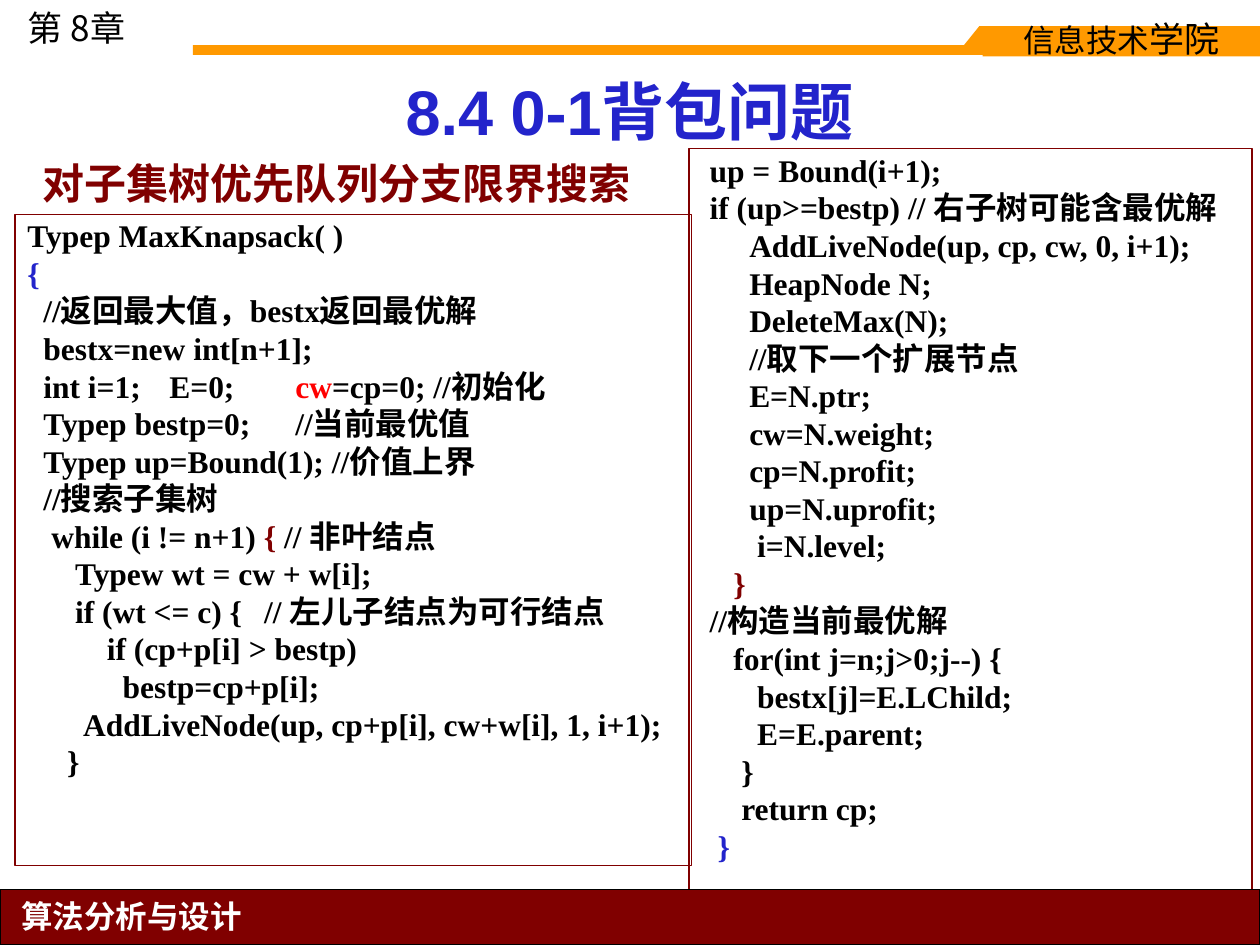
"""Build the slide on the 0-1 knapsack with branch and bound."""
import pptx
import pptx.util
import pptx.dml.color
import pptx.enum.shapes
import pptx.enum.text
import lxml.etree

Cm, Pt = pptx.util.Cm, pptx.util.Pt
Box = pptx.enum.shapes.MSO_SHAPE
Side = pptx.enum.text.PP_ALIGN
Hold = pptx.enum.text.MSO_ANCHOR
NS = "http://schemas.openxmlformats.org/drawingml/2006/main"

THEME = {
    "black": "000000", "white": "FFFFFF", "gold": "FF9900",
    "wine": "800000", "blue": "2324CB", "red": "FF0000",
    "head": "Arial", "code": "Times New Roman",
    "han": "Noto Sans CJK SC", "plain": "DejaVu Sans",
    "title": 36, "sub": 24, "mark": 20, "body": 18,
}
SPACE = 0.16

TITLE = [(0, ["8.4 0-1背包问题"])]
SUB = [(0, ["对子集树优先队列分支限界搜索"])]
MARK = [(0, ["第 8\t章"], 1.92)]
SCHOOL = [(0, ["信息技术", ("学院", "black", "mark")])]
COURSE = [(0, ["算法分析与设计"])]
LEFT = [
    (0, ["Typep MaxKnapsack( )"]),
    (0, [("{", "blue")]),
    (2, ["//返回最大值，bestx返回最优解"]),
    (2, ["bestx=new int[n+1];"]),
    (2, ["int i=1;\tE=0;\t", ("cw", "red"), "=cp=0; //初始化"], 2.6, 4.4),
    (2, ["Typep bestp=0;\t//当前最优值"], 4.8),
    (2, ["Typep up=Bound(1); //价值上界"]),
    (2, ["//搜索子集树"]),
    (3, ["while (i != n+1) ", ("{ ", "wine"), "// 非叶结点"]),
    (6, ["Typew wt = cw + w[i];"]),
    (6, ["if (wt <= c) {\t// 左儿子结点为可行结点"], 4.8),
    (10, ["if (cp+p[i] > bestp)"]),
    (12, ["bestp=cp+p[i];"]),
    (7, ["AddLiveNode(up, cp+p[i], cw+w[i], 1, i+1);"]),
    (5, ["}"]),
]
RIGHT = [
    (1, ["up = Bound(i+1);"]),
    (1, ["if (up>=bestp) // 右子树可能含最优解"]),
    (6, ["AddLiveNode(up, cp, cw, 0, i+1);"]),
    (6, ["HeapNode N;"]),
    (6, ["DeleteMax(N);"]),
    (6, ["//取下一个扩展节点"]),
    (6, ["E=N.ptr;"]),
    (6, ["cw=N.weight;"]),
    (6, ["cp=N.profit;"]),
    (6, ["up=N.uprofit;"]),
    (7, ["i=N.level;"]),
    (4, [("}", "wine")]),
    (1, ["//构造当前最优解"]),
    (4, ["for(int j=n;j>0;j--) {"]),
    (7, ["bestx[j]=E.LChild;"]),
    (7, ["E=E.parent;"]),
    (5, ["}"]),
    (5, ["return cp;"]),
    (2, [("}", "blue")]),
]
BARS = [(3.89, 0.91, 19.61, 0.2), (19.74, 0.53, 3.76, 0.41)]
SLOPE = [(19.41, 0.94), (19.74, 0.94), (19.74, 0.53)]


def tint(name):
    return pptx.dml.color.RGBColor.from_string(THEME[name])


def place(shape, spot):
    shape.left, shape.top, shape.width, shape.height = map(Cm, spot)
    return shape


def paint(shape, fill=None, line=None):
    if fill:
        shape.fill.solid()
        shape.fill.fore_color.rgb = tint(fill)
    if line:
        shape.line.color.rgb = tint(line)
        shape.line.width = Pt(0.75)
    else:
        shape.line.fill.background()
    shape.shadow.inherit = False
    return shape


def write(shape, rows, font="code", size="body", hue="black", bold=True,
          side=Side.LEFT, hold=Hold.TOP, lead=0.9, gap=0):
    frame = shape.text_frame
    frame.auto_size = pptx.enum.text.MSO_AUTO_SIZE.NONE
    frame.word_wrap, frame.vertical_anchor = True, hold
    for at, (pad, parts, *stops) in enumerate(rows):
        para = frame.add_paragraph() if at else frame.paragraphs[0]
        para.alignment, para.line_spacing = side, lead
        para.space_before = Pt(gap)
        props = para._p.get_or_add_pPr()
        props.set("marL", str(Cm(pad * SPACE)))
        props.set("indent", "0")
        lxml.etree.SubElement(props, f"{{{NS}}}buNone")
        if stops:
            tabs = lxml.etree.SubElement(props, f"{{{NS}}}tabLst")
            for stop in stops:
                lxml.etree.SubElement(tabs, f"{{{NS}}}tab", pos=str(Cm(stop)), algn="l")
        for part in parts:
            text, shade, scale = (part, hue, size) if isinstance(part, str) else (*part, size)[:3]
            run = para.add_run()
            run.text = text
            run.font.name, run.font.size = THEME[font], Pt(THEME[scale])
            run.font.bold, run.font.color.rgb = bold, tint(shade)
            east = lxml.etree.SubElement(run._r.get_or_add_rPr(), f"{{{NS}}}ea")
            east.set("typeface", THEME["han"])


def main():
    deck = pptx.Presentation()
    deck.slide_width, deck.slide_height = Cm(25.4), Cm(19.05)
    slide = deck.slides.add_slide(deck.slide_layouts[3])
    shapes = slide.shapes
    title, left, right = slide.placeholders

    def block(spot, fill, line=None):
        return paint(shapes.add_shape(Box.RECTANGLE, *map(Cm, spot)), fill, line)

    def label(spot, rows, **form):
        write(shapes.add_textbox(*map(Cm, spot)), rows, **form)

    for bar in BARS:
        block(bar, "gold")
    pen = shapes.build_freeform(*map(Cm, SLOPE[0]))
    pen.add_line_segments([tuple(map(Cm, dot)) for dot in SLOPE[1:]])
    paint(pen.convert_to_shape(), "gold")

    write(block((19.81, 0.53, 5.59, 0.61), "gold"), SCHOOL, font="plain",
          bold=False, side=Side.CENTER, hold=Hold.MIDDLE)
    label((0.3, 0, 3.4, 1.09), MARK, font="han", size="mark", bold=False, lead=1)
    block((0, 17.93, 25.4, 1.12), "wine", "black")
    label((0.15, 17.96, 5, 1.02), COURSE, font="han", hue="white",
          side=Side.CENTER, lead=1)

    write(place(title, (1.9, 1.12, 21.59, 2.01)), TITLE, font="head", size="title",
          hue="blue", side=Side.CENTER, hold=Hold.BOTTOM)
    label((0.6, 2.72, 22.86, 1.6), SUB, size="sub", hue="wine", hold=Hold.BOTTOM)
    panels = [(left, (0.3, 4.32, 13.64, 13.13), LEFT),
              (right, (13.89, 3, 11.35, 14.94), RIGHT)]
    for panel, spot, rows in panels:
        paint(place(panel, spot), line="wine")
        write(panel, rows, gap=2)
    deck.save("out.pptx")


if __name__ == "__main__":
    main()
